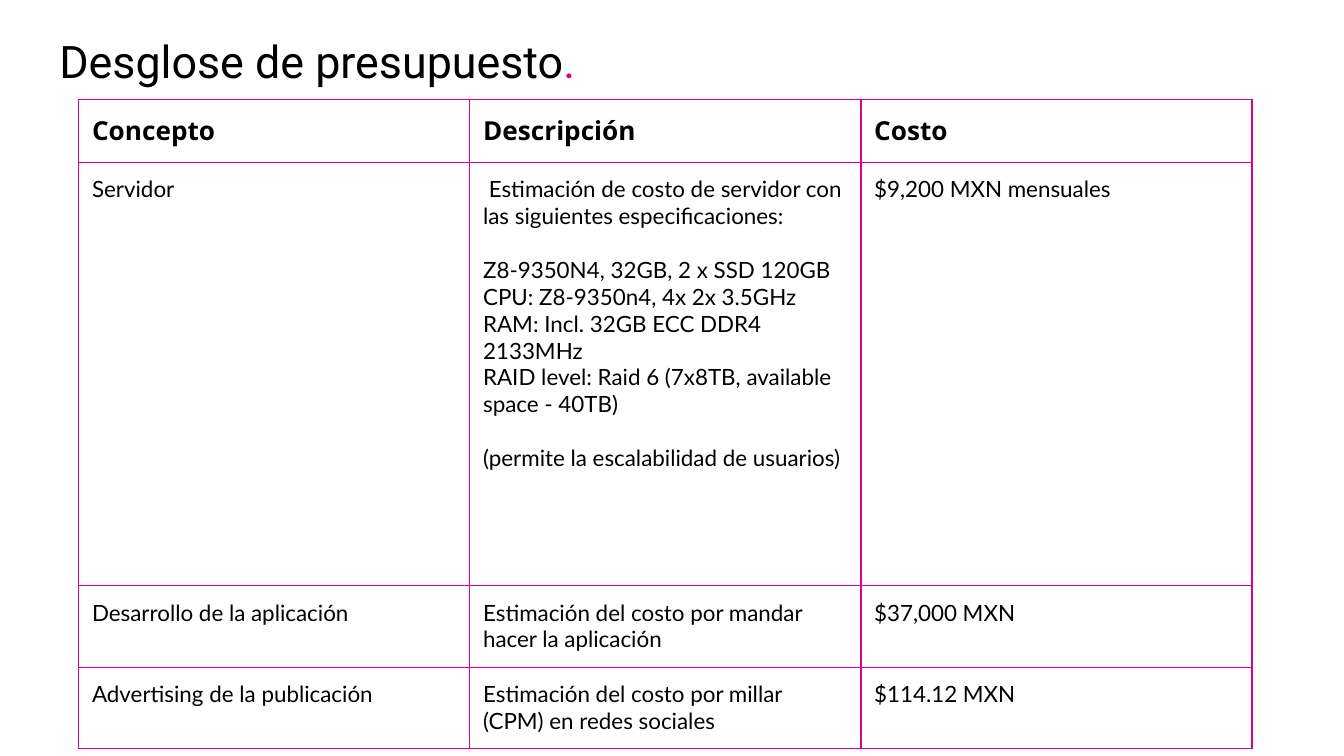
from lxml.etree import SubElement
from pptx import Presentation
from pptx.dml.color import RGBColor
from pptx.enum.text import MSO_ANCHOR, MSO_AUTO_SIZE, PP_ALIGN
from pptx.oxml.ns import qn
from pptx.util import Cm, Pt

TITLE = [("Desglose de presupuesto", "000000"), (".", "CF018D")]
HEADINGS = ["Concepto", "Descripción", "Costo"]
SERVER_BLOCKS = [
    [" Estimación de costo de servidor con las siguientes especificaciones:"],
    ["Z8-9350N4, 32GB, 2 x SSD 120GB",
     "CPU: Z8-9350n4, 4x 2x 3.5GHz",
     "RAM: Incl. 32GB ECC DDR4 2133MHz",
     "RAID level: Raid 6 (7x8TB, available space - 40TB)"],
    ["(permite la escalabilidad de usuarios)"],
]
ROWS = [
    ["Servidor", SERVER_BLOCKS, "$9,200 MXN mensuales"],
    ["Desarrollo de la aplicación",
     "Estimación del costo por mandar hacer la aplicación", "$37,000 MXN"],
    ["Advertising de la publicación",
     "Estimación del costo por millar (CPM) en redes sociales", "$114.12 MXN"],
]
ROW_HEIGHTS = [1.19, 8, 1.54, 1.54]
COLUMN_WIDTH = 7.39
MARGIN = Cm(0.25)
BORDER = "D90193"
BLOCK_GAP = 14.4


def color(value):
    return RGBColor.from_string(value)


def add_span(para, text, *, font, size, fill="000000", bold=False):
    span = para.add_run()
    span.text = text
    span.font.name = font
    span.font.size = Pt(size)
    span.font.bold = bold
    span.font.color.rgb = color(fill)


def set_margins(box):
    box.margin_left = box.margin_right = MARGIN
    box.margin_top = box.margin_bottom = MARGIN


def add_borders(cell):
    properties = cell._tc.get_or_add_tcPr()
    for side in ("lnL", "lnR", "lnT", "lnB"):
        line = SubElement(properties, qn(f"a:{side}"), w=str(Pt(0.75)))
        fill = SubElement(line, qn("a:solidFill"))
        SubElement(fill, qn("a:srgbClr"), val=BORDER)


def fill_cell(cell, content, **style):
    set_margins(cell)
    add_borders(cell)
    cell.fill.background()
    cell.vertical_anchor = MSO_ANCHOR.TOP
    blocks = [[content]] if isinstance(content, str) else content
    frame = cell.text_frame
    para = frame.paragraphs[0]
    for block_number, block in enumerate(blocks):
        for line_number, text in enumerate(block):
            if block_number or line_number:
                para = frame.add_paragraph()
            if block_number and not line_number:
                para.space_before = Pt(BLOCK_GAP)
            add_span(para, text, **style)


def add_title(page):
    title = page.shapes.title
    title.left, title.top, title.width, title.height = Cm(0.87), Cm(0.34), Cm(23.67), Cm(1.6)
    frame = title.text_frame
    set_margins(frame)
    frame.auto_size = MSO_AUTO_SIZE.NONE
    frame.vertical_anchor = MSO_ANCHOR.MIDDLE
    para = frame.paragraphs[0]
    para.alignment = PP_ALIGN.LEFT
    for text, fill in TITLE:
        add_span(para, text, font="Roboto", size=24, fill=fill)


def add_budget(page):
    contents = [HEADINGS] + ROWS
    table = page.shapes.add_table(
        len(contents), len(HEADINGS), Cm(1.49), Cm(1.88),
        Cm(COLUMN_WIDTH * len(HEADINGS)), Cm(sum(ROW_HEIGHTS))).table
    table.first_row = table.horz_banding = False
    for column in table.columns:
        column.width = Cm(COLUMN_WIDTH)
    for number, (row, height) in enumerate(zip(contents, ROW_HEIGHTS)):
        table.rows[number].height = Cm(height)
        style = dict(font="Lato", size=12) if number else dict(font="Open Sans", size=14, bold=True)
        for column, content in enumerate(row):
            fill_cell(table.cell(number, column), content, **style)


def main():
    """Build the budget breakdown slide."""
    deck = Presentation()
    deck.slide_width, deck.slide_height = Cm(25.4), Cm(14.29)
    page = deck.slides.add_slide(deck.slide_layouts[5])
    add_title(page)
    add_budget(page)
    deck.save("out.pptx")


if __name__ == "__main__":
    main()
